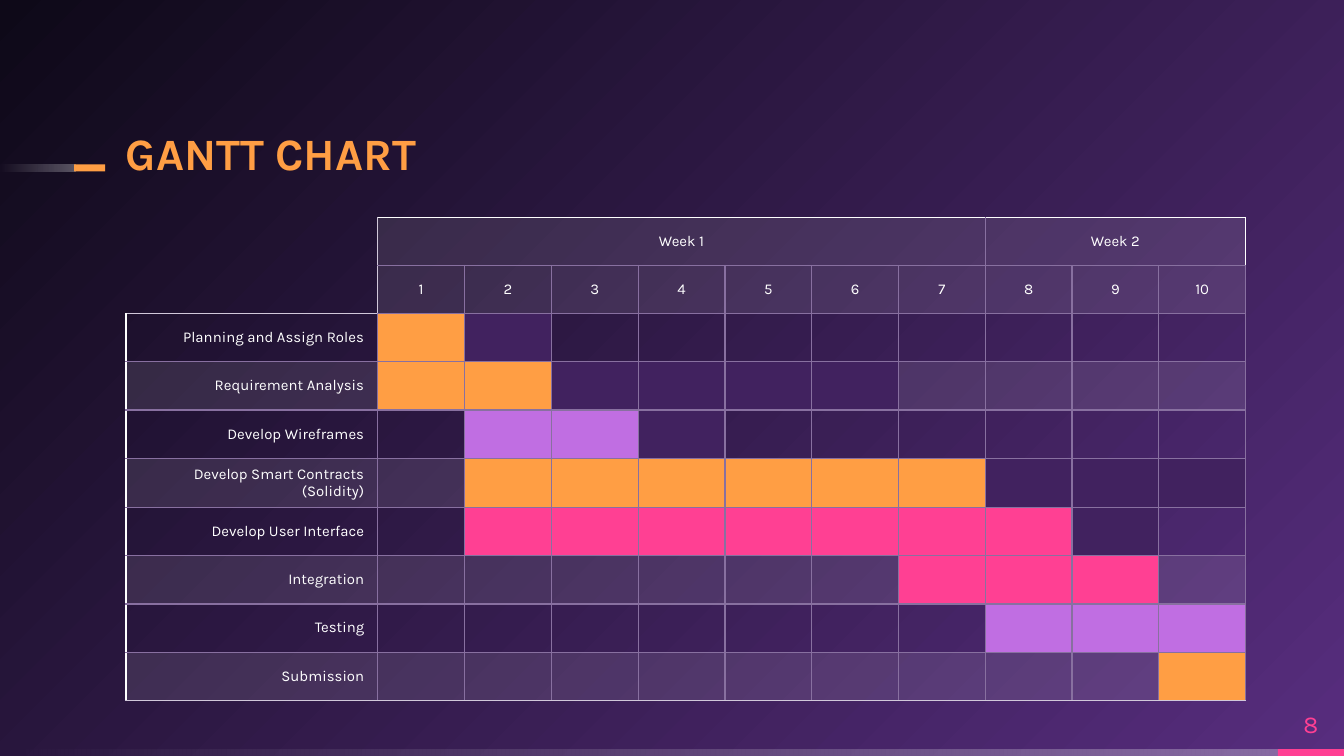
from lxml import etree
from pptx import Presentation
from pptx.dml.color import RGBColor
from pptx.enum.shapes import MSO_SHAPE as Shape
from pptx.enum.text import MSO_ANCHOR as Anchor, PP_ALIGN as Align
from pptx.oxml import parse_xml
from pptx.oxml.ns import nsdecls, qn
from pptx.util import Cm, Pt

FONT = "Karla"
WHITE, PALE, GRID = "FFFFFF", "D1C8DA", "8870A0"
ORANGE, PINK, PURPLE, DARK = "FF9E44", "FF4093", "C06EE2", "41225F"

# One letter per cell: v is a white veil, a dot is no fill
FILLS = {"O": ORANGE, "K": PINK, "P": PURPLE, "D": DARK, "v": WHITE}
WEEKS = [("Week 1", 7), ("Week 2", 3)]
TASKS = [
    ("Planning and Assign Roles", ".OD........"),
    ("Requirement Analysis", "vOODDDDvvvv"),
    ("Develop Wireframes", "..PPD......"),
    ("Develop Smart Contracts (Solidity)", "vvOOOOOODDD"),
    ("Develop User Interface", "..KKKKKKKD."),
    ("Integration", "vvvvvvvKKKv"),
    ("Testing", "........PPP"),
    ("Submission", "vvvvvvvvvvO"),
]
DAYS = sum(length for _, length in WEEKS)
HEADER_ROWS = 2
LABEL_WIDTH, DAY_WIDTH, ROW_HEIGHT = 4.76, 1.64, 0.91
SLIDE_WIDTH, SLIDE_HEIGHT, BAR_HEIGHT = 25.4, 14.29, 0.13


def rgb(color):
    return RGBColor.from_string(color)


def set_gradient(fill, element, stops, direction):
    """Give fill, held in element, stops of (position, colour, opacity) in percent."""
    fill.gradient()
    stop_xml = "".join(
        f'<a:gs pos="{position * 1000}"><a:srgbClr val="{color}">'
        f'<a:alpha val="{opacity * 1000}"/></a:srgbClr></a:gs>'
        for position, color, opacity in stops)
    old = element.find(".//" + qn("a:gradFill"))
    old.getparent().replace(old, parse_xml(
        f'<a:gradFill {nsdecls("a")} rotWithShape="1">'
        f"<a:gsLst>{stop_xml}</a:gsLst>{direction}</a:gradFill>"))


def add_bar(page, left, top, width, color=None):
    """Add a thin bar; without a colour it fades out to the left."""
    bar = page.shapes.add_shape(
        Shape.RECTANGLE, Cm(left), Cm(top), Cm(width), Cm(BAR_HEIGHT))
    bar.shadow.inherit = False
    bar.line.fill.background()
    if color:
        bar.fill.solid()
        bar.fill.fore_color.rgb = rgb(color)
    else:
        set_gradient(bar.fill, bar.element, [(0, WHITE, 30), (100, WHITE, 0)],
                     '<a:lin ang="10800000" scaled="0"/>')


def write(frame, text, size, color, align=Align.LEFT):
    para = frame.paragraphs[0]
    para.alignment = align
    para.font.name, para.font.size = FONT, Pt(size)
    para.font.color.rgb = rgb(color)
    if text:
        para.add_run().text = text
    return para


def add_text(page, area, text, size, color, anchor, align):
    box = page.shapes.add_textbox(*map(Cm, area))
    frame = box.text_frame
    frame.word_wrap = True
    frame.margin_left = frame.margin_right = 0
    frame.margin_top = frame.margin_bottom = 0
    frame.vertical_anchor = anchor
    return write(frame, text, size, color, align)


def fill_cell(cell, code):
    if code not in FILLS:
        cell.fill.background()
        return
    cell.fill.solid()
    cell.fill.fore_color.rgb = rgb(FILLS[code])
    if code == "v":
        color = cell.fill._xPr.find(".//" + qn("a:srgbClr"))
        etree.SubElement(color, qn("a:alpha"), val="10000")


def edge_colors(row, column, last_row, last_week):
    """Return left, right, top and bottom border colours; None is no border."""
    header = row < HEADER_ROWS
    if header and column == 0:
        return None, PALE, None, PALE if row == HEADER_ROWS - 1 else None
    left = WHITE if column == 0 else PALE if header and column == 1 else GRID
    right = WHITE if row == 0 and column == last_week else GRID
    top = WHITE if row == 0 else GRID
    if column == 0 and row == HEADER_ROWS:
        top = PALE
    return left, right, top, PALE if row == last_row else GRID


def set_borders(cell, colors):
    properties = cell._tc.get_or_add_tcPr()
    for index, (side, color) in enumerate(zip("LRTB", colors)):
        paint = (f'<a:solidFill><a:srgbClr val="{color}"/></a:solidFill>'
                 if color else "<a:noFill/>")
        properties.insert(index, parse_xml(
            f'<a:ln{side} {nsdecls("a")} w="{Pt(0.75)}">{paint}</a:ln{side}>'))


def add_gantt(page, left, top):
    week_row = [""]
    for name, length in WEEKS:
        week_row += [name] + [""] * (length - 1)
    header_fill = "." + "v" * DAYS
    rows = [(week_row, header_fill),
            ([""] + [str(day + 1) for day in range(DAYS)], header_fill)]
    rows += [([task] + [""] * DAYS, codes) for task, codes in TASKS]

    table = page.shapes.add_table(
        len(rows), DAYS + 1, Cm(left), Cm(top),
        Cm(LABEL_WIDTH + DAYS * DAY_WIDTH), Cm(len(rows) * ROW_HEIGHT)).table
    table.first_row = table.horz_banding = False
    for index, column in enumerate(table.columns):
        column.width = Cm(DAY_WIDTH if index else LABEL_WIDTH)
    for row in table.rows:
        row.height = Cm(ROW_HEIGHT)

    start = 1
    for _, length in WEEKS:
        table.cell(0, start).merge(table.cell(0, start + length - 1))
        start += length
    last_week = start - WEEKS[-1][1]

    for row, (texts, codes) in enumerate(rows):
        for column, (text, code) in enumerate(zip(texts, codes)):
            cell = table.cell(row, column)
            cell.vertical_anchor = Anchor.MIDDLE
            cell.margin_top = cell.margin_bottom = Cm(0.13 if text else 0)
            write(cell.text_frame, text, 8, WHITE,
                  Align.CENTER if column else Align.RIGHT)
            fill_cell(cell, code)
            if not cell.is_spanned:
                set_borders(cell, edge_colors(row, column, len(rows) - 1, last_week))


def main():
    deck = Presentation()
    deck.slide_width, deck.slide_height = Cm(SLIDE_WIDTH), Cm(SLIDE_HEIGHT)
    page = deck.slides.add_slide(deck.slide_layouts[6])
    set_gradient(page.background.fill, page.element,
                 [(0, "572D7E", 100), (100, "0E0918", 100)],
                 '<a:path path="circle"><a:fillToRect l="100000" t="100000"/></a:path>')

    footer_top = SLIDE_HEIGHT - BAR_HEIGHT
    add_bar(page, 0, footer_top, 24.23)
    add_bar(page, 24.15, footer_top, 1.25, PINK)
    add_bar(page, 0, 3.11, 1.42)
    add_bar(page, 1.4, 3.11, 0.59, ORANGE)

    title = add_text(page, (2.38, 2.31, 14.73, 1.09), "GANTT CHART", 24, ORANGE,
                     Anchor.BOTTOM, Align.LEFT)
    title.font.bold = True
    title.line_spacing = 0.9
    add_text(page, (24.15, 13.19, 1.25, 0.97), "8", 13, PINK,
             Anchor.MIDDLE, Align.CENTER)
    add_gantt(page, 2.38, 4.11)
    deck.save("out.pptx")


if __name__ == "__main__":
    main()
